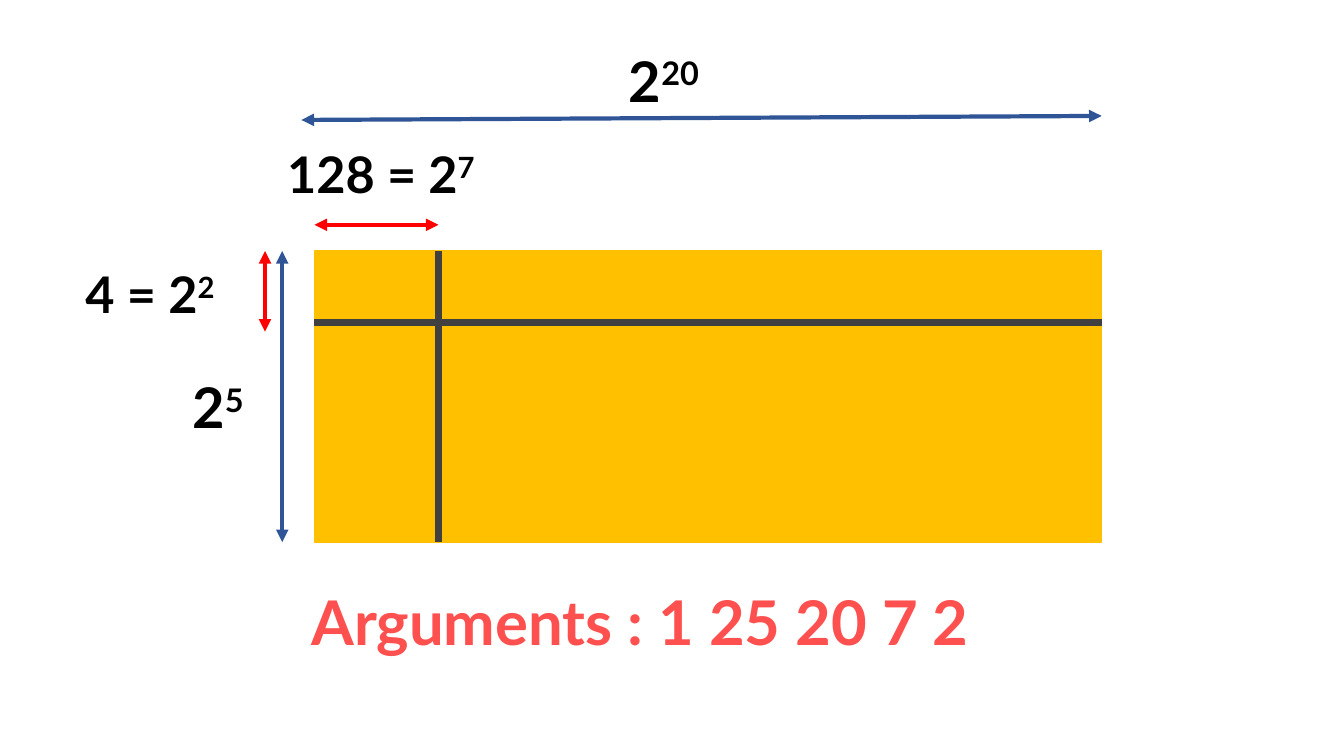
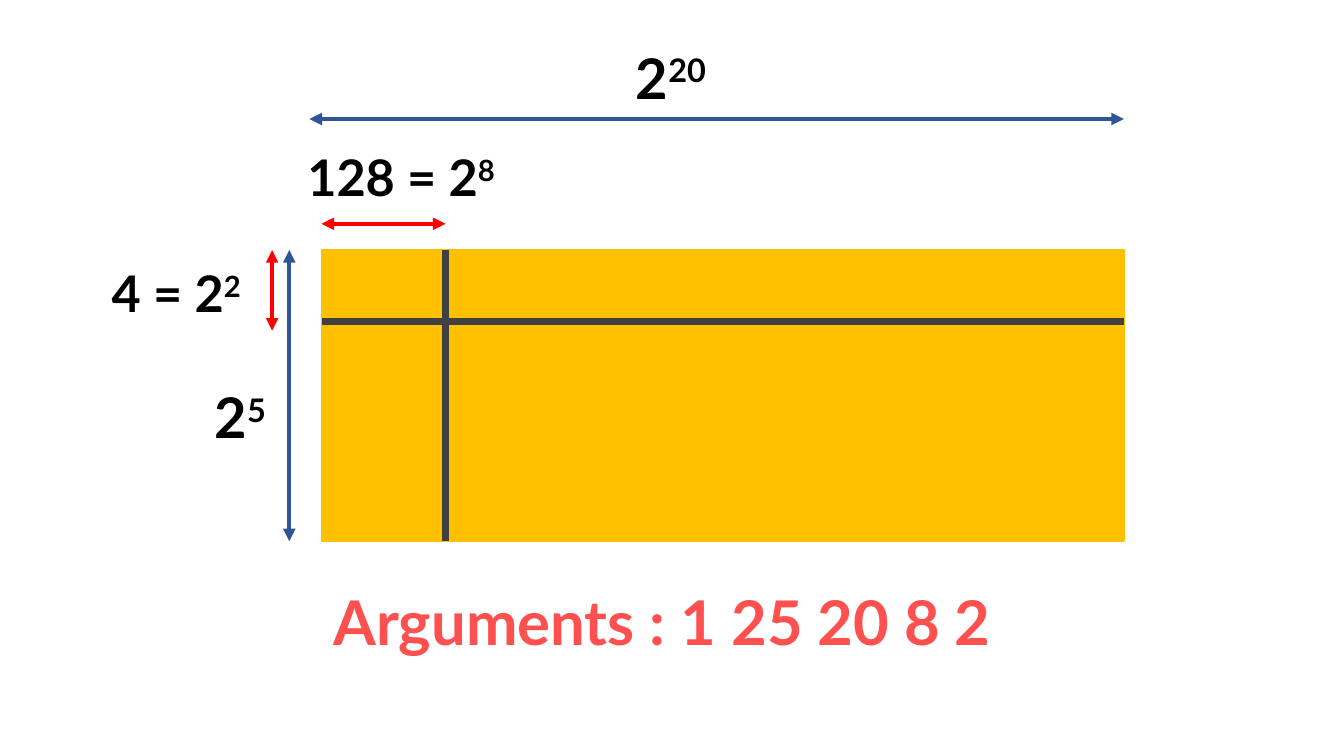
from pptx import Presentation
from pptx.dml.color import RGBColor
from pptx.enum.shapes import MSO_CONNECTOR as CONN, MSO_SHAPE as SHAPE
from pptx.enum.text import MSO_AUTO_SIZE as FIT
from pptx.oxml.ns import qn
from pptx.util import Pt
from lxml import etree

# Shared style
FONT = "Lato"
GOLD, GREY, BLUE, RED = "FFC000", "404040", "2F5597", "FF0000"
BLACK, CORAL = "000000", "FF5050"

# Shared geometry, in points, measured from the matrix's top left corner
MATRIX_H = 208
TILE_W, TILE_H = 88.6, 51.1
WIDTH_ARROW_DY, TILE_ARROW_DY = -93.6, -18.7
HEIGHT_ARROW_DX, TILE_ARROW_DX = -23, -35.3
TILE_ARROW_H = 57.6
LABEL_SIZE, TILE_SIZE, ARGS_SIZE = 40, 36, 44

# Content: matrix is (left, top, width); width_arrow is (left overhang, rise);
# each label is (text, exponent, size, colour, (left, top, width, height))
SLIDES = [
    dict(matrix=(224.6, 179.3, 562.3), width_arrow=(9.3, 2.9), labels=[
        ("Arguments : 1 25 20 7 2", "", ARGS_SIZE, CORAL, (215.3, 413.3, 643.7, 60.5)),
        ("2", "20", LABEL_SIZE, BLACK, (442.1, 29.5, 267.8, 55.4)),
        ("2", "5", LABEL_SIZE, BLACK, (130.3, 262.8, 85, 55.4)),
        ("128 = 2", "7", TILE_SIZE, BLACK, (198, 98.6, 204.5, 51.1)),
        ("4 = 2", "2", TILE_SIZE, BLACK, (54, 184.3, 144, 51.1)),
    ]),
    dict(matrix=(229.7, 178.6, 573.1), width_arrow=(8.7, 0), labels=[
        ("Arguments : 1 25 20 8 2", "", ARGS_SIZE, CORAL, (231.1, 413.3, 643.7, 60.5)),
        ("2", "20", LABEL_SIZE, BLACK, (447.1, 27.4, 267.8, 55.4)),
        ("2", "5", LABEL_SIZE, BLACK, (146.2, 270, 85, 55.4)),
        ("128 = 2", "8", TILE_SIZE, BLACK, (212.4, 100.8, 169.2, 51.1)),
        ("4 = 2", "2", TILE_SIZE, BLACK, (72.7, 183.6, 122.4, 51.1)),
    ]),
]


def rgb(color):
    return RGBColor.from_string(color)


def add_text(s, text, box, exponent="", size=36, color=BLACK, bold=True):
    tf = s.shapes.add_textbox(*map(Pt, box)).text_frame
    tf.word_wrap = True
    tf.auto_size = FIT.SHAPE_TO_FIT_TEXT
    p = tf.paragraphs[0]
    for part, baseline in ((text, None), (exponent, "30000")):
        if not part:
            continue
        r = p.add_run()
        r.text = part
        r.font.name, r.font.size, r.font.bold = FONT, Pt(size), bold
        r.font.color.rgb = rgb(color)
        if baseline:
            r.font._element.set("baseline", baseline)


def add_line(s, start, end, color, width=3, arrows=True):
    line = s.shapes.add_connector(CONN.STRAIGHT, *map(Pt, (*start, *end)))
    line.line.color.rgb = rgb(color)
    line.line.width = Pt(width)
    if arrows:
        ln = line.line._get_or_add_ln()
        for tag in ("a:headEnd", "a:tailEnd"):
            etree.SubElement(ln, qn(tag), type="triangle")
    etree.SubElement(line._element.spPr, qn("a:effectLst"))


def add_matrix(s, x, y, w, overhang, rise):
    sp = s.shapes.add_shape(SHAPE.RECTANGLE, *map(Pt, (x, y, w, MATRIX_H)))
    sp.shadow.inherit = False
    sp.fill.solid()
    sp.fill.fore_color.rgb = sp.line.color.rgb = rgb(GOLD)
    sp.line.width = Pt(1)
    right, bottom = x + w, y + MATRIX_H
    tile_x, tile_y = x + TILE_W, y + TILE_H

    # Tile borders
    add_line(s, (tile_x, y), (tile_x, bottom), GREY, 4.5, arrows=False)
    add_line(s, (x, tile_y), (right, tile_y), GREY, 4.5, arrows=False)

    # Matrix dimensions
    arrow_y, arrow_x = y + WIDTH_ARROW_DY, x + HEIGHT_ARROW_DX
    add_line(s, (x - overhang, arrow_y), (right, arrow_y - rise), BLUE)
    add_line(s, (arrow_x, y), (arrow_x, bottom), BLUE)

    # Tile dimensions
    arrow_y, arrow_x = y + TILE_ARROW_DY, x + TILE_ARROW_DX
    add_line(s, (x, arrow_y), (tile_x, arrow_y), RED)
    add_line(s, (arrow_x, y), (arrow_x, y + TILE_ARROW_H), RED)


def main():
    prs = Presentation()
    prs.slide_width, prs.slide_height = Pt(960), Pt(540)
    for content in SLIDES:
        s = prs.slides.add_slide(prs.slide_layouts[6])
        add_matrix(s, *content["matrix"], *content["width_arrow"])
        for text, exponent, size, color, box in content["labels"]:
            add_text(s, text, box, exponent=exponent, size=size, color=color)
    prs.save("out.pptx")


if __name__ == "__main__":
    main()
